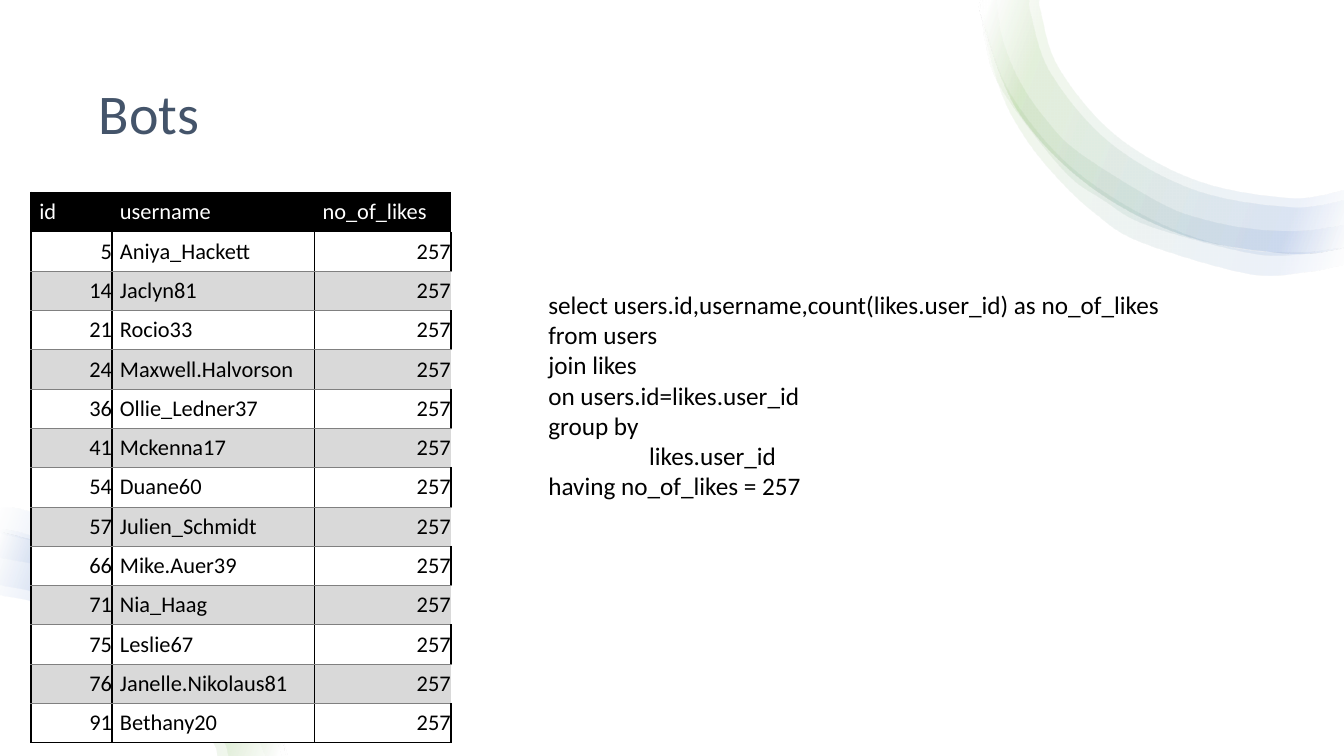
"""Builds the "Bots" slide: ribbons, a table of likes and its SQL query."""
from pptx import Presentation
from pptx.dml.color import RGBColor
from pptx.enum.shapes import MSO_SHAPE as SHAPE
from pptx.enum.text import MSO_ANCHOR as ANCHOR, PP_ALIGN as ALIGN
from pptx.oxml import parse_xml
from pptx.oxml.ns import nsdecls, qn
from pptx.util import Inches, Pt

WHITE = RGBColor(0xFF, 0xFF, 0xFF)
BLACK = RGBColor(0, 0, 0)
SLATE = RGBColor(0x44, 0x54, 0x6A)
GREY = RGBColor(0x80, 0x80, 0x80)
BAND = RGBColor(0xD9, 0xD9, 0xD9)
GREEN = RGBColor(0x70, 0xAD, 0x47)
BLUE = RGBColor(0x44, 0x72, 0xC4)
W, H = 13.33, 7.5
NO_STYLE = "{2D5ABB26-0587-4C30-8999-92F81FD0307C}"


def smooth(vertices):
    """Turn the straight segments between path vertices into smooth curves."""
    nodes = [(int(v[0].get("x")), int(v[0].get("y"))) for v in vertices]
    padded = [nodes[0], *nodes, nodes[-1]]
    for v, a, b, c, d in zip(vertices[1:], padded, padded[1:], padded[2:], padded[3:]):
        controls = ([q + (r - p) // 6 for p, q, r in zip(a, b, c)],
                    [r - (t - q) // 6 for q, r, t in zip(b, c, d)], c)
        points = "".join(f'<a:pt x="{x}" y="{y}"/>' for x, y in controls)
        v.getparent().replace(v, parse_xml(
            f'<a:cubicBezTo {nsdecls("a")}>{points}</a:cubicBezTo>'))


def style(p, size, color, align=ALIGN.LEFT):
    """Format a paragraph and its runs."""
    p.alignment = align
    for r in p.runs:
        r.font.size, r.font.name = Pt(size), "Calibri"
        r.font.color.rgb = color


prs = Presentation()
prs.slide_width, prs.slide_height = Inches(W), Inches(H)
s = prs.slides.add_slide(prs.slide_layouts[6])

sp = s.shapes.add_shape(SHAPE.RECTANGLE, 0, 0, prs.slide_width, prs.slide_height)
sp.shadow.inherit = False
sp.fill.solid()
sp.fill.fore_color.rgb = WHITE
sp.line.fill.background()

top_outer = [(9.73, 0), (9.74, 0.2), (10.09, 1.1), (10.8, 1.84), (11.74, 2.33),
             (12.79, 2.51), (W, 2.45)]
low_outer = [(2.82, H), (2.76, 7.3), (2.35, 6.59), (1.73, 6), (0.96, 5.56),
             (0.11, 5.31), (0, 5.3)]
ribbons = [
    (20, top_outer,
     [(10.31, 0), (10.32, 0.12), (10.5, 0.68), (11.06, 1.34), (11.87, 1.79),
      (12.79, 1.96), (W, 1.88)]),
    (20, top_outer,
     [(10.21, 0), (10.22, 0.14), (10.42, 0.73), (11, 1.41), (11.84, 1.88),
      (12.79, 2.05), (W, 1.98)]),
    (20, [(9.73, 0), (9.78, 0.43), (9.94, 0.89), (10.54, 1.68), (10.95, 1.99),
          (11.39, 2.24), (12.39, 2.51), (12.91, 2.52), (W, 2.46)],
     [(9.89, 0), (9.95, 0.39), (10.12, 0.81), (10.38, 1.19), (10.71, 1.52),
      (11.5, 2.01), (11.95, 2.18), (12.42, 2.27), (12.89, 2.29), (W, 2.23)]),
    (20, [(9.71, 0), (9.72, 0.13), (9.91, 0.87), (10.14, 1.33), (10.46, 1.74),
          (10.85, 2.11), (11.31, 2.4), (12.36, 2.71), (12.92, 2.7), (W, 2.62)],
     [(9.74, 0), (9.8, 0.37), (9.97, 0.84), (10.25, 1.26), (10.59, 1.63),
      (10.99, 1.93), (11.43, 2.18), (11.9, 2.37), (12.39, 2.48), (12.9, 2.5),
      (W, 2.45)]),
    (200, [(2.85, H), (2.71, 7.08), (2.45, 6.57), (2.1, 6.11), (1.66, 5.7),
           (1.15, 5.38), (0.29, 5.08), (0, 5.04)],
     [(2.79, H), (2.64, 7.11), (2.34, 6.64), (1.95, 6.24), (1.51, 5.9),
      (1.02, 5.62), (0.5, 5.42), (0, 5.3)]),
    (200, low_outer,
     [(2.15, H), (2.05, 7.28), (1.43, 6.56), (0.53, 6.05), (0, 5.91)]),
    (200, [(2.83, H), (2.68, 7.05), (2, 6.18), (1.56, 5.83), (1.06, 5.56),
           (0.24, 5.3), (0, 5.26)],
     [(2.63, H), (2.47, 7.15), (2.19, 6.72), (1.82, 6.36), (0.94, 5.81),
      (0.44, 5.63), (0, 5.54)]),
    (200, low_outer,
     [(2.26, H), (2.14, 7.24), (1.5, 6.48), (0.56, 5.96), (0, 5.81)]),
]
stops = "".join(
    f'<a:gs pos="{pos}000"><a:srgbClr val="{color}"><a:alpha val="10000"/>'
    '</a:srgbClr></a:gs>'
    for pos, color in ((2, WHITE), (16, GREEN), (85, BLUE), (100, WHITE)))
for angle, outer, inner in ribbons:
    outline = [(Inches(x), Inches(y)) for x, y in outer + inner[::-1]]
    builder = s.shapes.build_freeform(*outline[0])
    builder.add_line_segments(outline[1:], close=True)
    sp = builder.convert_to_shape()
    sp.shadow.inherit = False
    sp.line.fill.background()
    sp.fill.background()
    spPr = sp._element.spPr
    vertices = [pt.getparent() for pt in spPr.iter(qn("a:pt"))]
    smooth(vertices[:len(outer)])
    smooth(vertices[len(outer):len(outline)])
    spPr.replace(spPr.find(qn("a:noFill")), parse_xml(
        f'<a:gradFill {nsdecls("a")} rotWithShape="1"><a:gsLst>{stops}</a:gsLst>'
        f'<a:lin ang="{angle * 60000}" scaled="0"/></a:gradFill>'))

tf = s.shapes.add_textbox(Inches(0.88), Inches(0.5), Inches(11.57), Inches(1.3)).text_frame
tf.word_wrap = True
tf.vertical_anchor = ANCHOR.MIDDLE
tf.text = "Bots"
tf.paragraphs[0].line_spacing = 0.9
style(tf.paragraphs[0], 40, SLATE)

users = [(5, "Aniya_Hackett"), (14, "Jaclyn81"), (21, "Rocio33"),
         (24, "Maxwell.Halvorson"), (36, "Ollie_Ledner37"), (41, "Mckenna17"),
         (54, "Duane60"), (57, "Julien_Schmidt"), (66, "Mike.Auer39"),
         (71, "Nia_Haag"), (75, "Leslie67"), (76, "Janelle.Nikolaus81"),
         (91, "Bethany20")]
rows = [("id", "username", "no_of_likes")] + [(*user, 257) for user in users]
widths = [0.8, 2.01, 1.35]
row_h = 0.39
table = s.shapes.add_table(len(rows), 3, Inches(0.31), Inches(1.91),
                           Inches(sum(widths)), Inches(row_h * len(rows))).table
table._tbl.tblPr.find(qn("a:tableStyleId")).text = NO_STYLE
table.first_row = table.horz_banding = False
for column, width in zip(table.columns, widths):
    column.width = Inches(width)
for i, values in enumerate(rows):
    table.rows[i].height = Inches(row_h)
    head, banded, last = i == 0, i > 0 and i % 2 == 0, i == len(rows) - 1
    for j, value in enumerate(values):
        cell = table.cell(i, j)
        cell.text = str(value)
        cell.margin_left, cell.margin_right = Inches(0.08), 0
        cell.margin_top = cell.margin_bottom = Inches(0.06)
        cell.vertical_anchor = ANCHOR.MIDDLE if head else ANCHOR.BOTTOM
        cell.fill.solid()
        cell.fill.fore_color.rgb = BLACK if head else BAND if banded else WHITE
        style(cell.text_frame.paragraphs[0], 16, WHITE if head else BLACK,
              ALIGN.LEFT if head or j == 1 else ALIGN.RIGHT)
        borders = {}
        if not head or j == 0:
            borders["L"] = (BLACK, 1.5)
        if not head and not (banded and j == 2):
            borders["R"] = (BLACK, 1.5)
        if head or banded:
            borders["T"] = (BLACK, 1.5) if head else (GREY, 0.5)
        if not head and not banded:
            borders["B"] = (BLACK, 1.5) if last else (GREY, 0.5)
        for k, (side, (color, weight)) in enumerate(borders.items()):
            cell._tc.get_or_add_tcPr().insert(k, parse_xml(
                f'<a:ln{side} {nsdecls("a")} w="{Pt(weight)}"><a:solidFill>'
                f'<a:srgbClr val="{color}"/></a:solidFill></a:ln{side}>'))

tf = s.shapes.add_textbox(Inches(5.34), Inches(2.82), Inches(6.83), Inches(2.22)).text_frame
tf.word_wrap = True
tf.text = """select users.id,username,count(likes.user_id) as no_of_likes
from users
join likes
on users.id=likes.user_id
group by
\tlikes.user_id
having no_of_likes = 257"""
for p in tf.paragraphs:
    style(p, 18, BLACK)
tf.paragraphs[5]._p.get_or_add_pPr().append(parse_xml(
    f'<a:tabLst {nsdecls("a")}><a:tab pos="{Inches(1)}" algn="l"/></a:tabLst>'))

prs.save("out.pptx")
